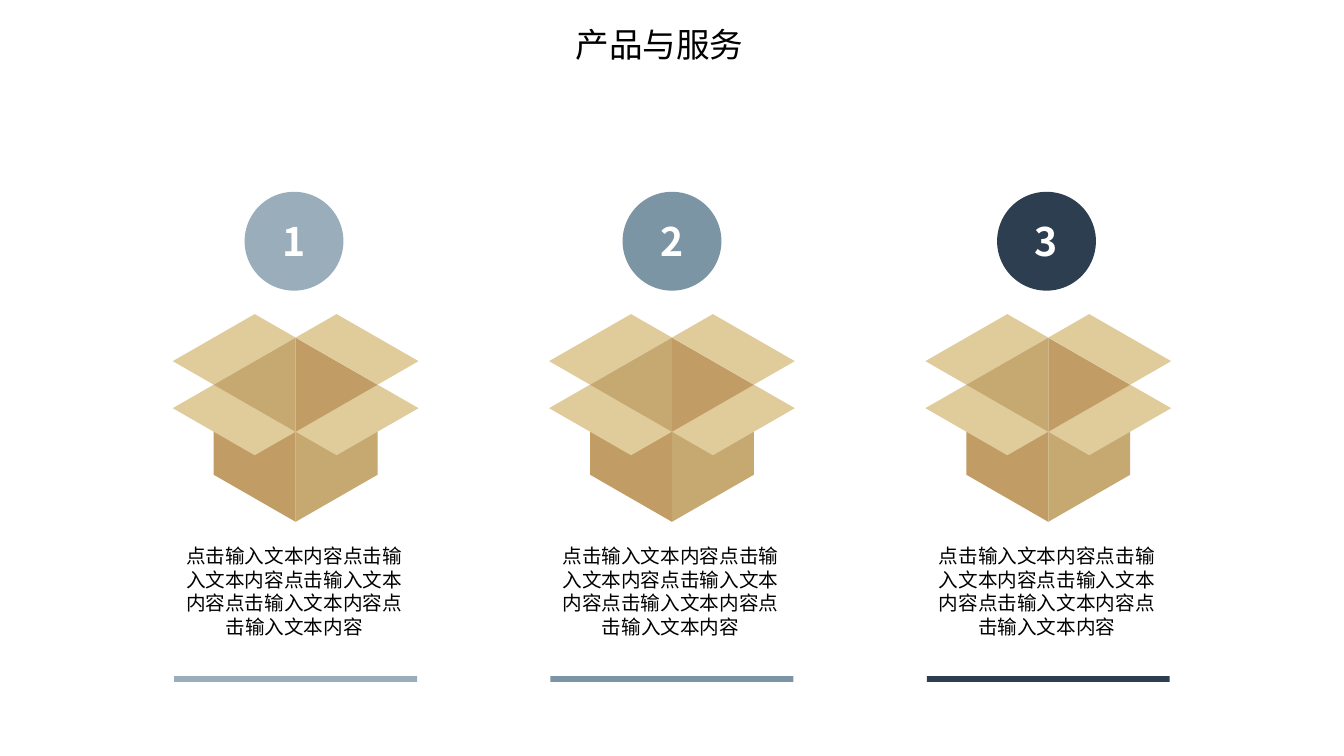
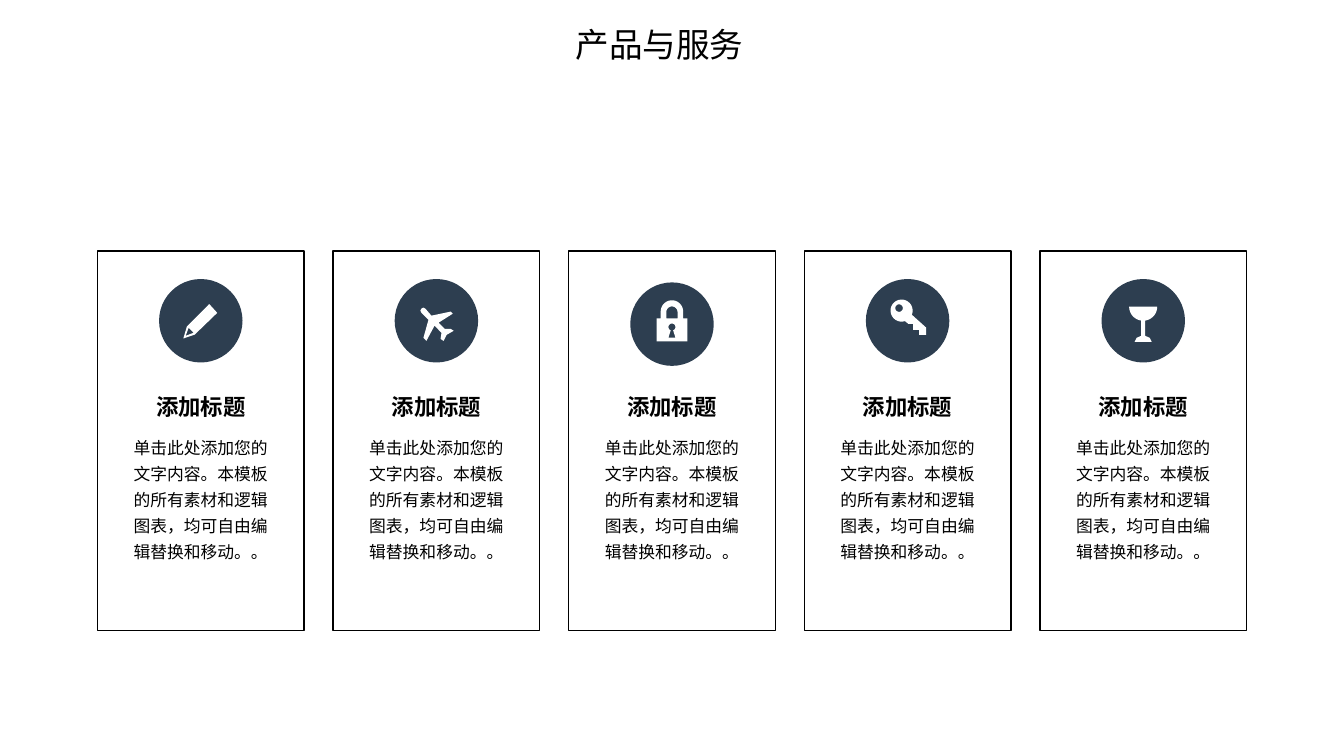
from dataclasses import dataclass
from math import cos, radians, sin

from lxml import etree
from pptx import Presentation
from pptx.dml.color import RGBColor
from pptx.enum.shapes import MSO_SHAPE
from pptx.enum.text import MSO_ANCHOR, MSO_AUTO_SIZE, PP_ALIGN
from pptx.oxml.ns import qn
from pptx.shapes.autoshape import Shape
from pptx.slide import Slide
from pptx.text.text import TextFrame
from pptx.util import Pt

RECTANGLE = MSO_SHAPE.RECTANGLE
OVAL = MSO_SHAPE.OVAL
CONNECTOR_DISC = MSO_SHAPE.FLOWCHART_CONNECTOR
LEFT, CENTER = PP_ALIGN.LEFT, PP_ALIGN.CENTER
MIDDLE = MSO_ANCHOR.MIDDLE
GROW = MSO_AUTO_SIZE.SHAPE_TO_FIT_TEXT

FONT = "Noto Sans CJK SC"
COLORS = {
    "black": "000000",
    "white": "FFFFFF",
    "mist": "99AEBA",
    "steel": "7C95A5",
    "navy": "2D3E50",
    "box_dark": "C19D65",
    "box_mid": "C6A871",
    "box_light": "E0CB9B",
}

SLIDE_WIDTH, SLIDE_HEIGHT = 960, 540
TITLE = "产品与服务"
PRODUCT_TEXT = "点击输入文本内容" * 5
CARD_HEADING = "添加标题"
CARD_TEXT = "单击此处添加您的文字内容。本模板的所有素材和逻辑图表，均可自由编辑替换和移动。。"

Point = tuple[float, float]
Contour = list[Point]


@dataclass(frozen=True)
class TextStyle:
    size: float
    color: str = "black"
    bold: bool = False
    align: PP_ALIGN = CENTER
    line_spacing: float | None = None


@dataclass(frozen=True)
class Area:
    left: float
    top: float
    width: float
    height: float

    def in_points(self) -> tuple[Pt, Pt, Pt, Pt]:
        return Pt(self.left), Pt(self.top), Pt(self.width), Pt(self.height)


@dataclass(frozen=True)
class Product:
    number: str
    color: str
    number_center: float


@dataclass(frozen=True)
class Card:
    icon: list[Contour]
    disc_drop: float = 0


TITLE_STYLE = TextStyle(24, align=LEFT)
NUMBER_STYLE = TextStyle(28, "white", bold=True)
PRODUCT_STYLE = TextStyle(14)
HEADING_STYLE = TextStyle(16, bold=True)
CARD_STYLE = TextStyle(12, line_spacing=1.3)

PRODUCTS = [
    Product("1", "mist", 210),
    Product("2", "steel", 480),
    Product("3", "navy", 747.5),
]
PRODUCT_PITCH = 268.8

# Box faces on an isometric grid: half-flap steps from the back corner.
GRID_X, GRID_Y = 29.25, 16.8
BOX_TOP = 241.2
BOX_FACES: list[tuple[str, Contour]] = [
    ("box_dark", [(-2, 2), (-2, 5.83), (0, 7.83), (0, 4)]),
    ("box_mid", [(2, 2), (2, 5.83), (0, 7.83), (0, 4)]),
    ("box_light", [(3, 3), (1, 5), (0, 4), (2, 2)]),
    ("box_light", [(-2, 2), (0, 4), (-1, 5), (-3, 3)]),
    ("box_dark", [(2, 2), (0, 4), (0, 0)]),
    ("box_light", [(0, 0), (-2, 2), (-3, 1), (-1, -1)]),
    ("box_light", [(1, -1), (3, 1), (2, 2), (0, 0)]),
    ("box_mid", [(0, 0), (-2, 2), (0, 4)]),
]


def arc(x: float, y: float, radius: float, start: int, end: int) -> Contour:
    """Points along an arc; angles in degrees, clockwise from the right."""
    steps = 24
    angles = [radians(start + (end - start) * i / steps) for i in range(steps + 1)]
    return [(x + radius * cos(a), y + radius * sin(a)) for a in angles]


# Icon contours in points from the centre of the disc.
PENCIL = [
    [(6.1, -11.9), (11.8, -5.6), (-4.3, 10), (-12.4, 12.7), (-9.9, 4.2)],
    [(-10.7, 10.8), (-8.6, 5), (-5, 8.6)],
]
PLANE = [
    [
        (10.2, 5.8), (5.9, 5.8), (1.6, 1.4), (11.7, -5), (10.2, -6.5),
        (-3.5, -3.6), (-7.8, -8.6), (-9.3, -9.4), (-10.7, -8.6), (-11.4, -7.2),
        (-10.7, -5.8), (-5.6, -0.7), (-9.2, 12.2), (-7.1, 14.4), (-1.3, 3.6),
        (3.7, 8.6), (3, 13), (5.2, 14.4), (7.3, 10.1), (12.4, 7.2),
    ]
]
LOCK = [
    arc(0, -9, 8, 0, -180)
    + [(-8, -4), (-11, -4), (-11, 12.4), (11, 12.4), (11, -4), (8, -4)],
    arc(0, -8.6, 4, 0, -180) + [(-4, -4), (4, -4)],
    arc(0, 2.1, 2.5, 110, 430) + [(2.5, 9.7), (-2.5, 9.7)],
]
KEY = [
    arc(-4.3, -7.2, 7.9, 72, 382)
    + [(13.3, 5), (13.3, 10.1), (8.3, 10.1), (8.3, 6.5), (4, 6.5), (4, 2.2), (0.4, 2.2)],
    arc(-6.1, -9, 2.7, 0, 360),
]
GLASS = [
    arc(0, -10, 10, 0, 82)
    + [(1.4, 10.8), (4.6, 12.2), (6.1, 15.1), (-6.1, 15.1), (-4.6, 12.2), (-1.4, 10.8)]
    + arc(0, -10, 10, 98, 180)
]

CARDS = [Card(PENCIL), Card(PLANE), Card(LOCK, 2.4), Card(KEY), Card(GLASS)]
CARD_WIDTH, CARD_PITCH = 147.6, 168.3


def rgb(name: str) -> RGBColor:
    return RGBColor.from_string(COLORS[name])


def centers(count: int, pitch: float) -> list[float]:
    """Horizontal centres of equal columns placed about the slide's middle."""
    return [SLIDE_WIDTH / 2 + (i - (count - 1) / 2) * pitch for i in range(count)]


def centered(center: float, top: float, width: float, height: float) -> Area:
    return Area(center - width / 2, top, width, height)


def write(text_frame: TextFrame, text: str, style: TextStyle) -> None:
    text_frame.text = text
    paragraph = text_frame.paragraphs[0]
    paragraph.alignment = style.align
    if style.line_spacing:
        paragraph.line_spacing = style.line_spacing
    font = paragraph.runs[0].font
    font.size = Pt(style.size)
    font.bold = style.bold
    font.color.rgb = rgb(style.color)
    font.name = FONT
    run_properties = paragraph.runs[0]._r.get_or_add_rPr()
    etree.SubElement(run_properties, qn("a:ea")).set("typeface", FONT)


def add_text(shapes, area: Area, text: str, style: TextStyle) -> None:
    text_frame = shapes.add_textbox(*area.in_points()).text_frame
    text_frame.word_wrap = True
    text_frame.auto_size = GROW
    write(text_frame, text, style)


def paint(shape: Shape, fill: str | None, line: str | None = None) -> None:
    shape.shadow.inherit = False
    if fill:
        shape.fill.solid()
        shape.fill.fore_color.rgb = rgb(fill)
    else:
        shape.fill.background()
    if line:
        shape.line.color.rgb = rgb(line)
        shape.line.width = Pt(1)
    else:
        shape.line.fill.background()


def add_preset(shapes, kind: MSO_SHAPE, area: Area, fill: str | None,
               line: str | None = None) -> Shape:
    shape = shapes.add_shape(kind, *area.in_points())
    paint(shape, fill, line)
    return shape


def add_outline(shapes, contours: list[Contour], origin: Point, fill: str) -> None:
    """Draw closed contours as one shape; inner contours become holes."""
    placed = [
        [(Pt(origin[0] + x), Pt(origin[1] + y)) for x, y in contour]
        for contour in contours
    ]
    builder = shapes.build_freeform(*placed[0][0])
    for index, contour in enumerate(placed):
        if index:
            builder.move_to(*contour[0])
        builder.add_line_segments(contour[1:], close=True)
    paint(builder.convert_to_shape(), fill)


def add_box(slide: Slide, center: float) -> None:
    shapes = slide.shapes.add_group_shape().shapes
    for color, face in BOX_FACES:
        contour = [(x * GRID_X, y * GRID_Y) for x, y in face]
        add_outline(shapes, [contour], (center, BOX_TOP), color)


def add_product(slide: Slide, product: Product, center: float) -> None:
    shapes = slide.shapes
    add_box(slide, center)
    disc = add_preset(
        shapes, OVAL, centered(product.number_center, 137, 70.6, 70.6), product.color
    )
    disc.text_frame.vertical_anchor = MIDDLE
    write(disc.text_frame, product.number, NUMBER_STYLE)
    add_preset(shapes, RECTANGLE, centered(center, 483, 173.6, 4.2), product.color)
    add_text(shapes, centered(center - 1, 385.2, 168.6, 75), PRODUCT_TEXT, PRODUCT_STYLE)


def add_card(slide: Slide, card: Card, center: float) -> None:
    shapes = slide.shapes
    disc_size = 59.6
    disc_top = 199.3 + card.disc_drop
    add_preset(shapes, RECTANGLE, centered(center, 179.3, CARD_WIDTH, 271.2), None, "black")
    add_preset(
        shapes, CONNECTOR_DISC, centered(center, disc_top, disc_size, disc_size), "navy"
    )
    add_outline(shapes, card.icon, (center, disc_top + disc_size / 2), "white")
    texts = shapes.add_group_shape().shapes
    add_text(texts, centered(center, 304.6, 113, 100), CARD_TEXT, CARD_STYLE)
    add_text(texts, centered(center, 277.2, 85.7, 26.6), CARD_HEADING, HEADING_STYLE)


def add_titled_slide(presentation: Presentation) -> Slide:
    slide = presentation.slides.add_slide(presentation.slide_layouts[6])
    slide.background.fill.solid()
    slide.background.fill.fore_color.rgb = rgb("white")
    add_text(slide.shapes, Area(404, 13.7, 237, 36), TITLE, TITLE_STYLE)
    return slide


def main() -> None:
    presentation = Presentation()
    presentation.slide_width = Pt(SLIDE_WIDTH)
    presentation.slide_height = Pt(SLIDE_HEIGHT)

    products_slide = add_titled_slide(presentation)
    for product, center in zip(PRODUCTS, centers(len(PRODUCTS), PRODUCT_PITCH)):
        add_product(products_slide, product, center)

    cards_slide = add_titled_slide(presentation)
    for card, center in zip(CARDS, centers(len(CARDS), CARD_PITCH)):
        add_card(cards_slide, card, center)

    presentation.save("out.pptx")


if __name__ == "__main__":
    main()
